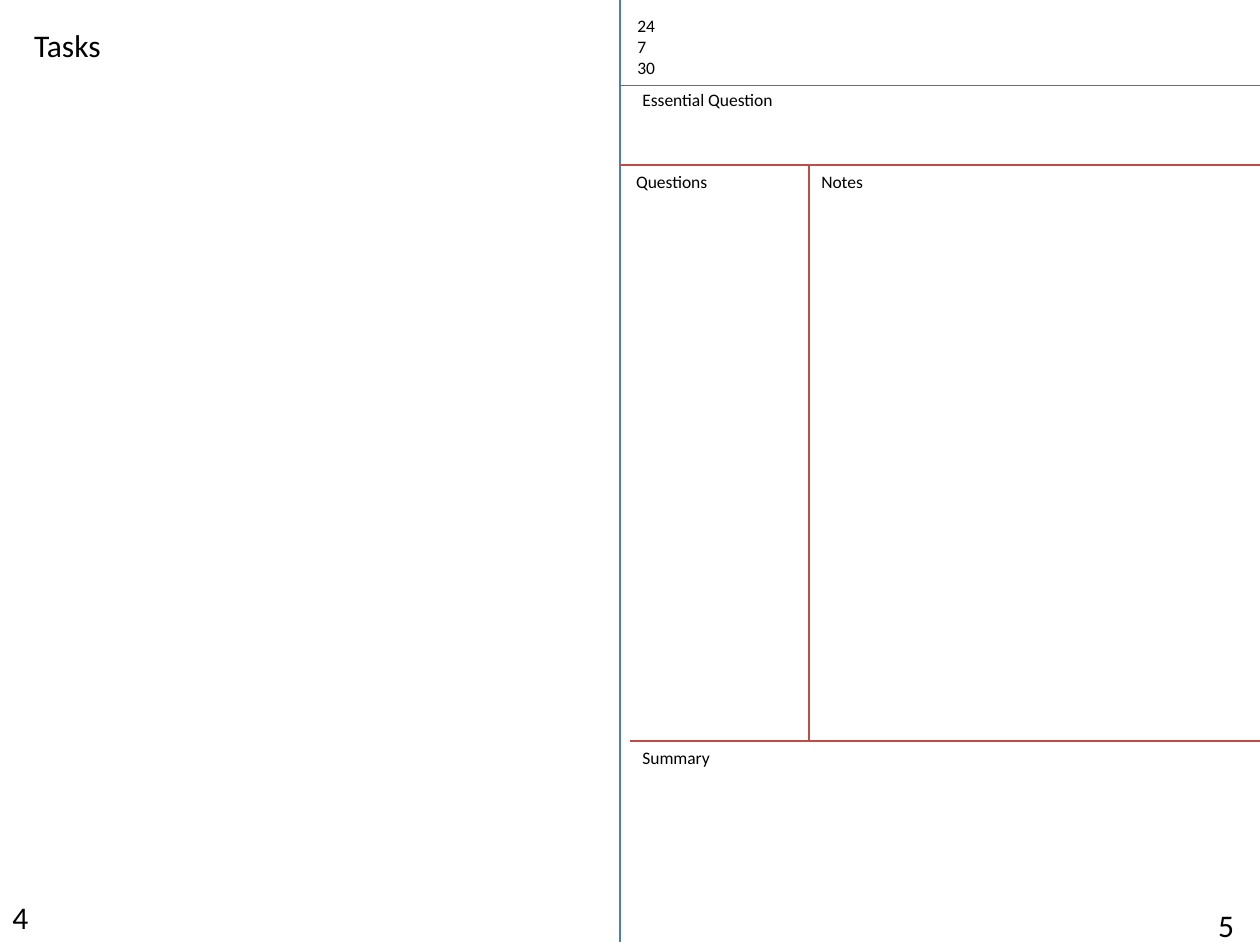
from pptx import Presentation
from pptx.dml.color import RGBColor
from pptx.enum.shapes import MSO_CONNECTOR
from pptx.enum.text import MSO_ANCHOR, MSO_AUTO_SIZE, PP_ALIGN
from pptx.oxml.ns import qn
from pptx.util import Inches, Pt
from lxml.etree import SubElement

COLORS = {"text": "000000", "fold": "4B7EBC", "rule": "BF4C48"}
FONT = "Calibri"
LABEL_SIZE, PAGE_SIZE = 10, 18

# Edges of the notes page
W, H = 10, 7.5
FOLD = 4.92
HEAD, BODY, SUMMARY = 0.68, 1.31, 5.88
NOTES = 6.42


def write(tf, text, size=LABEL_SIZE, wrap=False):
    """Fill a text frame, one paragraph for each line of text."""
    tf.text = text
    tf.word_wrap = wrap
    tf.auto_size = MSO_AUTO_SIZE.SHAPE_TO_FIT_TEXT
    tf.vertical_anchor = MSO_ANCHOR.TOP
    for p in tf.paragraphs:
        p.alignment = PP_ALIGN.LEFT
        p.font.name = FONT
        p.font.size = Pt(size)
        p.font.color.rgb = RGBColor.from_string(COLORS["text"])


class Page:
    def __init__(self, prs):
        self.s = prs.slides.add_slide(prs.slide_layouts[5])

    def title(self, text, x, y, w, h):
        sp = self.s.shapes.title
        sp.left, sp.top, sp.width, sp.height = map(Inches, (x, y, w, h))
        write(sp.text_frame, text, size=PAGE_SIZE)

    def text(self, text, x, y, w, h=0.27, **fmt):
        sp = self.s.shapes.add_textbox(*map(Inches, (x, y, w, h)))
        write(sp.text_frame, text, **fmt)

    def line(self, x1, y1, x2, y2, color="rule"):
        sp = self.s.shapes.add_connector(
            MSO_CONNECTOR.STRAIGHT, *map(Inches, (x1, y1, x2, y2)))
        sp.line.color.rgb = RGBColor.from_string(COLORS[color])
        sp.line.width = Pt(0.75)
        SubElement(sp._element.spPr, qn("a:effectLst"))


def main():
    prs = Presentation()
    prs.slide_width, prs.slide_height = Inches(W), Inches(H)
    page = Page(prs)

    page.line(FOLD, 0, FOLD, 7.48, color="fold")
    for y in (HEAD, BODY):
        page.line(FOLD, y, W, y)
    page.line(5, SUMMARY, 10.17, SUMMARY)
    page.line(NOTES, BODY, NOTES, SUMMARY)

    page.title("Tasks", 0.17, 0.16, 0.73, 0.4)
    page.text("24\n7\n30", 4.96, 0.07, 0.47, 0.61, wrap=True)
    page.text("Essential Question", 5, 0.66, 1.25)
    page.text("Questions", 4.95, BODY, 0.78)
    page.text("Notes", NOTES, BODY, 0.54)
    page.text("Summary", 5, SUMMARY, 0.74)
    page.text("4", 0, 7.08, 0.33, 0.4, size=PAGE_SIZE)
    page.text("5", 9.57, 7.14, 0.6, 0.4, size=PAGE_SIZE, wrap=True)

    prs.save("out.pptx")


if __name__ == "__main__":
    main()
